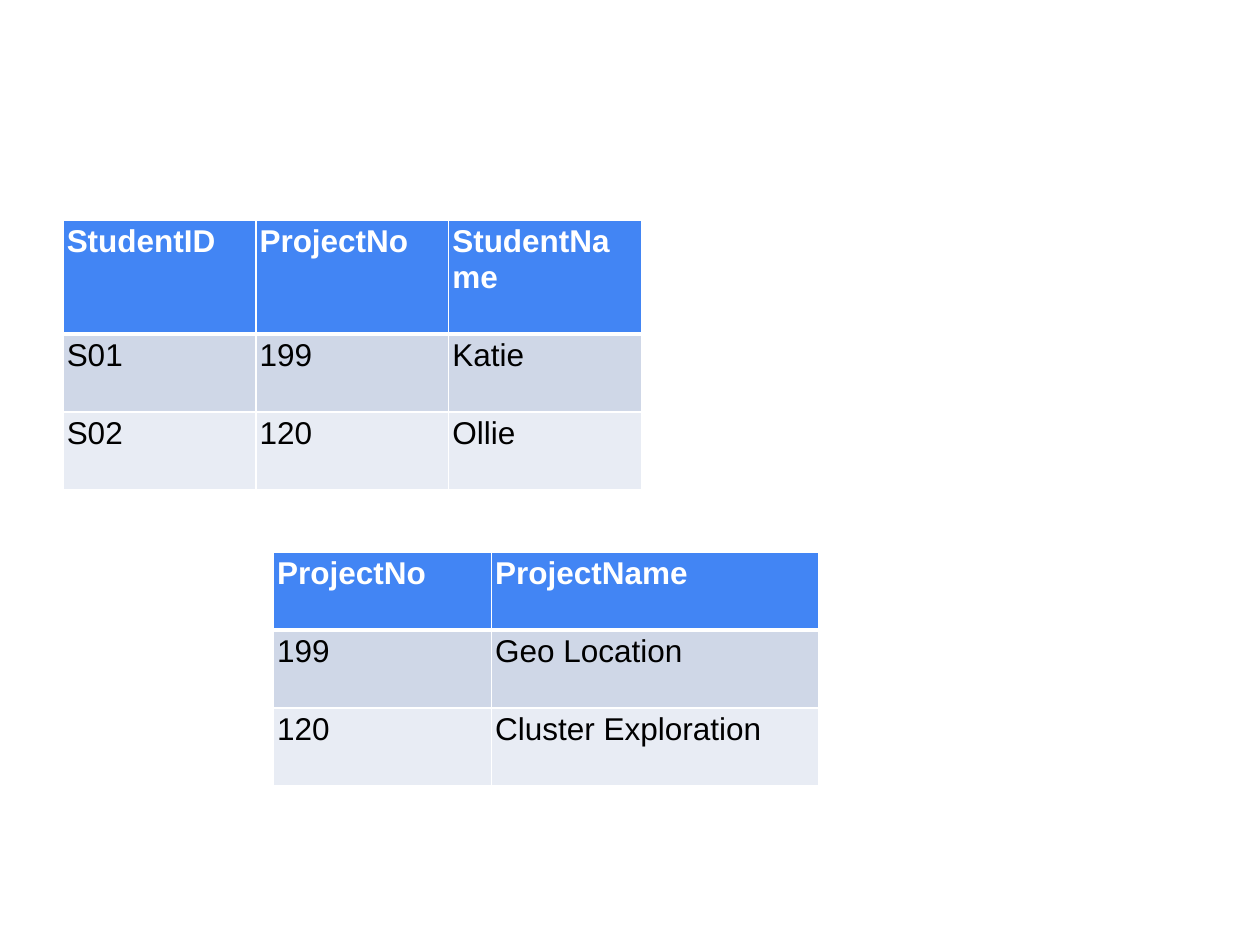
from lxml import etree
from pptx import Presentation
from pptx.dml.color import RGBColor
from pptx.oxml.ns import qn
from pptx.util import Inches, Pt

BLANK_LAYOUT = 6
FONT = "Arial"
WHITE, BLACK, BLUE = "FFFFFF", "000000", "4285F4"
BAND_FILLS = ("CFD7E7", "E8ECF4")
CELL_MARGIN = 0.03

STUDENTS = [
    ("StudentID", "ProjectNo", "StudentName"),
    ("S01", "199", "Katie"),
    ("S02", "120", "Ollie"),
]
PROJECTS = [
    ("ProjectNo", "ProjectName"),
    ("199", "Geo Location"),
    ("120", "Cluster Exploration"),
]


def color(value):
    """Return the colour for a hex string."""
    return RGBColor.from_string(value)


def set_borders(cell, widths):
    """Draw white borders, with widths in points for left, right, top and bottom."""
    properties = cell._tc.get_or_add_tcPr()
    for index, (side, width) in enumerate(zip("LRTB", widths)):
        line = etree.Element(qn(f"a:ln{side}"), w=str(Pt(width)))
        fill = etree.SubElement(line, qn("a:solidFill"))
        etree.SubElement(fill, qn("a:srgbClr"), val=WHITE)
        properties.insert(index, line)


def format_cell(cell, text, row_index):
    """Fill in one cell as part of the header or of a banded row."""
    header = row_index == 0
    cell.text = text
    cell.margin_left = cell.margin_right = Inches(CELL_MARGIN)
    cell.margin_top = cell.margin_bottom = Inches(CELL_MARGIN)
    cell.fill.solid()
    cell.fill.fore_color.rgb = color(BLUE if header else BAND_FILLS[(row_index - 1) % 2])
    font = cell.text_frame.paragraphs[0].font
    font.name, font.size, font.bold = FONT, Pt(18), header
    font.color.rgb = color(WHITE if header else BLACK)
    set_borders(cell, (1, 1, 3 if row_index == 1 else 1, 3 if header else 1))


def add_data_table(slide, rows, left, top, column_widths, row_heights):
    """Add a table with a blue header and banded rows."""
    frame = slide.shapes.add_table(
        len(rows), len(column_widths), Inches(left), Inches(top),
        Inches(sum(column_widths)), Inches(sum(row_heights)))
    table = frame.table
    for column, width in zip(table.columns, column_widths):
        column.width = Inches(width)
    for row_index, (values, height) in enumerate(zip(rows, row_heights)):
        table.rows[row_index].height = Inches(height)
        for column_index, text in enumerate(values):
            format_cell(table.cell(row_index, column_index), text, row_index)


def main():
    """Build the slide with the student and project tables."""
    presentation = Presentation()
    presentation.slide_width, presentation.slide_height = Inches(10), Inches(7.5)
    slide = presentation.slides.add_slide(presentation.slide_layouts[BLANK_LAYOUT])
    add_data_table(slide, STUDENTS, 0.5, 1.75, [1.53] * 3, [0.9, 0.62, 0.62])
    add_data_table(slide, PROJECTS, 2.17, 4.38, [1.73, 2.6], [0.62] * 3)
    presentation.save("out.pptx")


if __name__ == "__main__":
    main()
